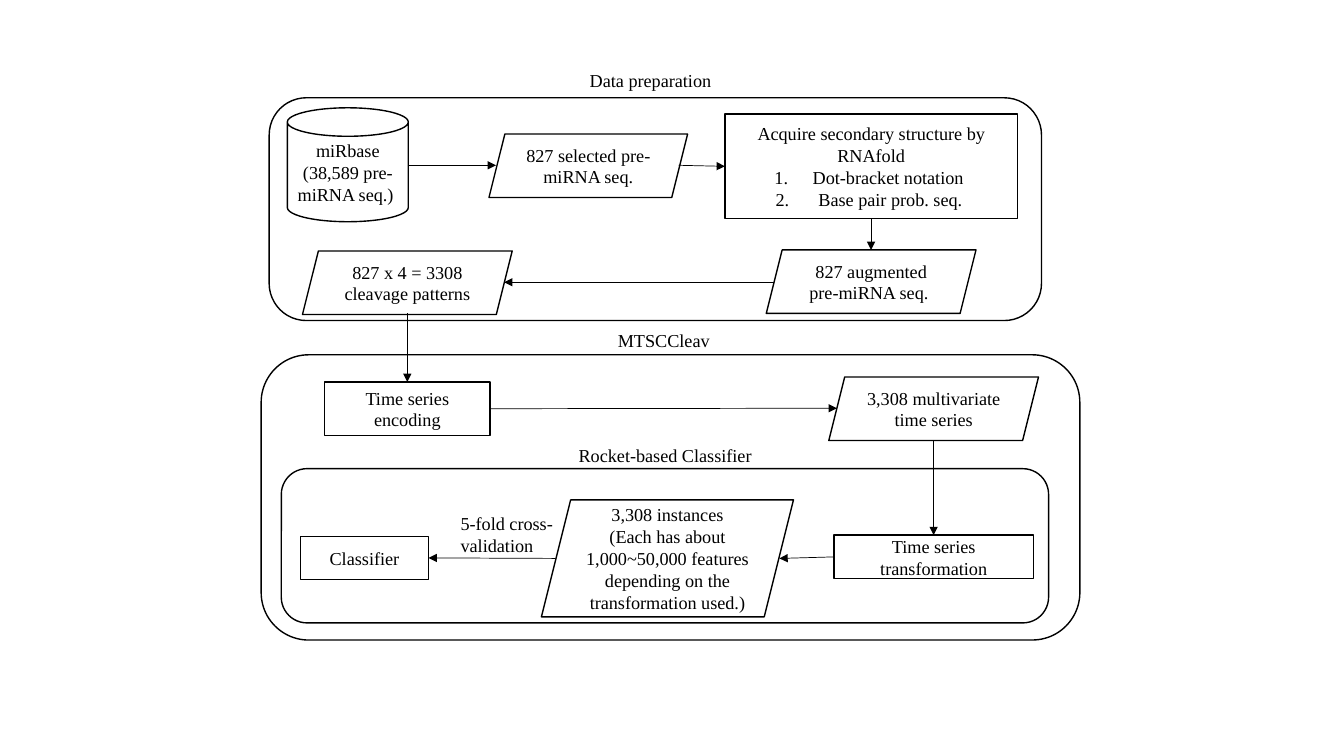
from dataclasses import dataclass

import lxml.etree
import pptx
import pptx.dml.color
import pptx.enum.shapes
import pptx.enum.text
import pptx.oxml.ns
import pptx.util

KIND = pptx.enum.shapes.MSO_SHAPE
ALIGN = pptx.enum.text.PP_ALIGN
ANCHOR = pptx.enum.text.MSO_ANCHOR
TOP, LEFT, BOTTOM, RIGHT = range(4)


@dataclass(frozen=True)
class Theme:
    ink: pptx.dml.color.RGBColor = pptx.dml.color.RGBColor(0, 0, 0)
    paper: pptx.dml.color.RGBColor = pptx.dml.color.RGBColor(255, 255, 255)
    font: str = "Times New Roman"
    size: float = 13
    border: float = 1
    arrow: float = 0.5
    indent: int = 38


@dataclass(frozen=True)
class Box:
    kind: int
    left: int
    top: int
    width: int
    height: int
    lines: tuple[str, ...] = ()
    items: tuple[str, ...] = ()


@dataclass(frozen=True)
class Label:
    left: int
    top: int
    width: int
    height: int
    text: str


@dataclass(frozen=True)
class Arrow:
    """Ends in px; tail and head name a (box, side) to join."""
    start: tuple[int, int]
    end: tuple[int, int]
    tail: tuple[str, int] | None = None
    head: tuple[str, int] | None = None


THEME = Theme()
DATA = KIND.PARALLELOGRAM
STEP = KIND.RECTANGLE

FRAMES = (
    Box(KIND.ROUNDED_RECTANGLE, 267, 97, 766, 221),
    Box(KIND.ROUNDED_RECTANGLE, 259, 352, 812, 283),
    Box(KIND.ROUNDED_RECTANGLE, 279, 465, 761, 153),
)

BOXES = {
    "source": Box(KIND.CAN, 285, 107, 120, 113,
                  ("miRbase", "(38,589 pre-miRNA seq.) ")),
    "chosen": Box(DATA, 485, 133, 197, 63, ("827 selected pre-miRNA seq.",)),
    "fold": Box(STEP, 719, 113, 290, 104,
                ("Acquire secondary structure by RNAfold",),
                ("Dot-bracket notation ", " Base pair prob. seq. ")),
    "rich": Box(DATA, 760, 248, 208, 63, ("827 augmented pre-miRNA seq. ",)),
    "cleaved": Box(DATA, 300, 249, 208, 63,
                   ("827 x 4 = 3308 cleavage patterns",)),
    "encode": Box(STEP, 322, 379, 164, 53, ("Time series encoding",)),
    "series": Box(DATA, 822, 374, 208, 63,
                  ("3,308 multivariate time series",)),
    "transform": Box(STEP, 827, 531, 198, 43,
                     ("Time series transformation",)),
    "features": Box(DATA, 537, 496, 250, 116,
                    ("3,308 instances",
                     "(Each has about 1,000~50,000 features depending on "
                     "the transformation used.)")),
    "class": Box(STEP, 298, 532, 127, 43, ("Classifier",)),
}

LABELS = (
    Label(575, 64, 151, 32, "Data preparation"),
    Label(603, 322, 117, 32, "MTSCCleav"),
    Label(564, 436, 211, 32, "Rocket-based Classifier"),
    Label(447, 503, 116, 54, "5-fold cross-validation"),
)

ARROWS = (
    Arrow((406, 164), (492, 164)),
    Arrow((673, 164), (719, 165), head=("fold", LEFT)),
    Arrow((864, 217), (864, 248), tail=("fold", BOTTOM)),
    Arrow((768, 280), (500, 280)),
    Arrow((404, 311), (404, 379), head=("encode", TOP)),
    Arrow((486, 405), (830, 405), tail=("encode", RIGHT)),
    Arrow((926, 437), (926, 531), head=("transform", TOP)),
    Arrow((827, 553), (773, 554), tail=("transform", LEFT)),
    Arrow((551, 554), (425, 554), head=("class", RIGHT)),
)


def px(length: int) -> pptx.util.Emu:
    return pptx.util.Emu(length * 9144)


def node(parent: lxml.etree._Element, tag: str,
         **attrs: str) -> lxml.etree._Element:
    return lxml.etree.SubElement(parent, pptx.oxml.ns.qn(tag), attrs)


def write(para, text: str, align: int) -> None:
    para.alignment = align
    run = para.add_run()
    run.text = text
    run.font.name = THEME.font
    run.font.size = pptx.util.Pt(THEME.size)
    run.font.color.rgb = THEME.ink


def number(para) -> None:
    """Give a paragraph a hanging automatic number."""
    props = para._p.get_or_add_pPr()
    props.set("marL", str(px(THEME.indent)))
    props.set("indent", str(-px(THEME.indent)))
    node(props, "a:buFont", typeface=THEME.font)
    node(props, "a:buAutoNum", type="arabicPeriod")


def draw_box(slide: pptx.slide.Slide, box: Box):
    shape = slide.shapes.add_shape(box.kind, px(box.left), px(box.top),
                                   px(box.width), px(box.height))
    shape.shadow.inherit = False
    shape.fill.solid()
    shape.fill.fore_color.rgb = THEME.paper
    shape.line.color.rgb = THEME.ink
    shape.line.width = pptx.util.Pt(THEME.border)
    frame = shape.text_frame
    frame.word_wrap = True
    frame.vertical_anchor = ANCHOR.MIDDLE
    for spot, text in enumerate(box.lines + box.items):
        para = frame.add_paragraph() if spot else frame.paragraphs[0]
        write(para, text, ALIGN.CENTER)
        if spot >= len(box.lines):
            number(para)
    return shape


def draw_label(slide: pptx.slide.Slide, label: Label) -> None:
    shape = slide.shapes.add_textbox(px(label.left), px(label.top),
                                     px(label.width), px(label.height))
    shape.text_frame.word_wrap = True
    write(shape.text_frame.paragraphs[0], label.text, ALIGN.LEFT)


def draw_arrow(slide: pptx.slide.Slide, arrow: Arrow, shapes: dict) -> None:
    line = slide.shapes.add_connector(
        pptx.enum.shapes.MSO_CONNECTOR.STRAIGHT,
        *map(px, arrow.start + arrow.end))
    if arrow.tail:
        name, side = arrow.tail
        line.begin_connect(shapes[name], side)
    if arrow.head:
        name, side = arrow.head
        line.end_connect(shapes[name], side)
    line.line.color.rgb = THEME.ink
    line.line.width = pptx.util.Pt(THEME.arrow)
    node(line.line._get_or_add_ln(), "a:tailEnd", type="triangle")
    node(line._element.spPr, "a:effectLst")


def main() -> None:
    deck = pptx.Presentation()
    deck.slide_width, deck.slide_height = px(1333), px(750)
    slide = deck.slides.add_slide(deck.slide_layouts[6])
    for frame in FRAMES:
        draw_box(slide, frame)
    shapes = {name: draw_box(slide, box) for name, box in BOXES.items()}
    for arrow in ARROWS:
        draw_arrow(slide, arrow, shapes)
    for label in LABELS:
        draw_label(slide, label)
    deck.save("out.pptx")


if __name__ == "__main__":
    main()
